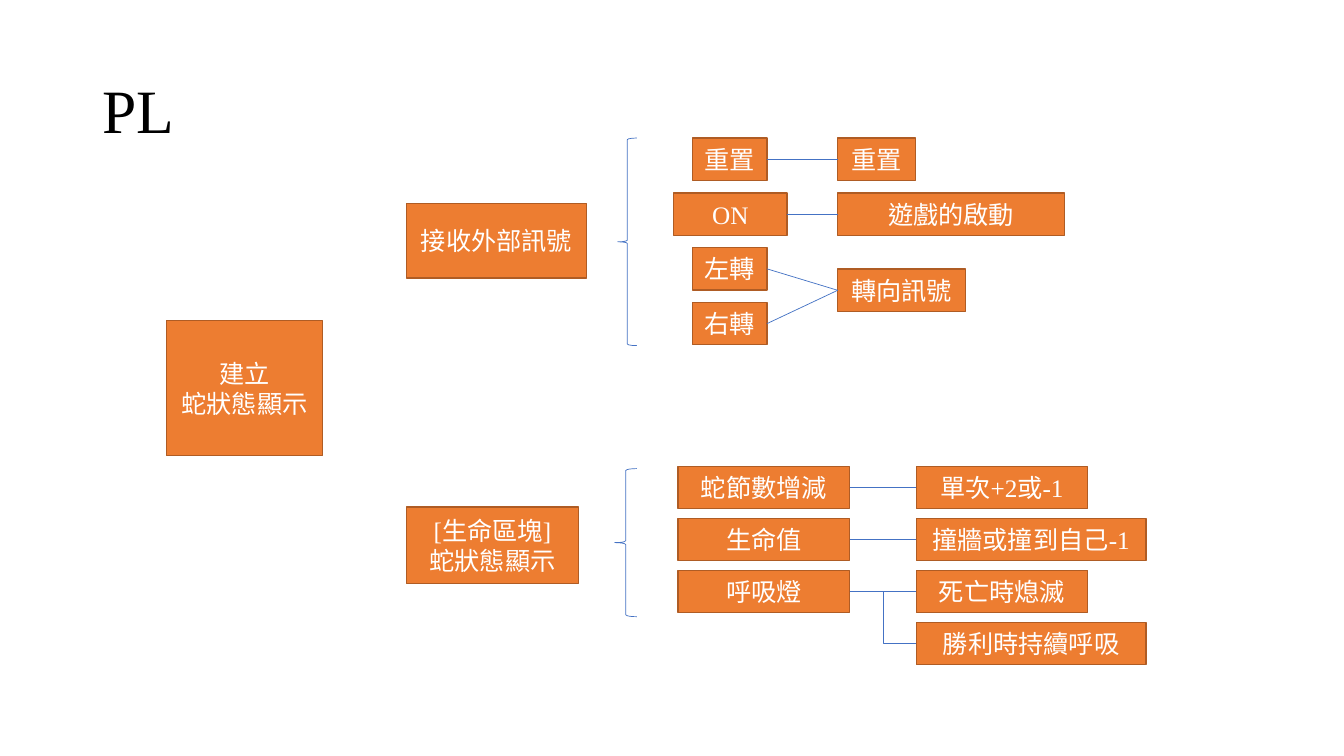
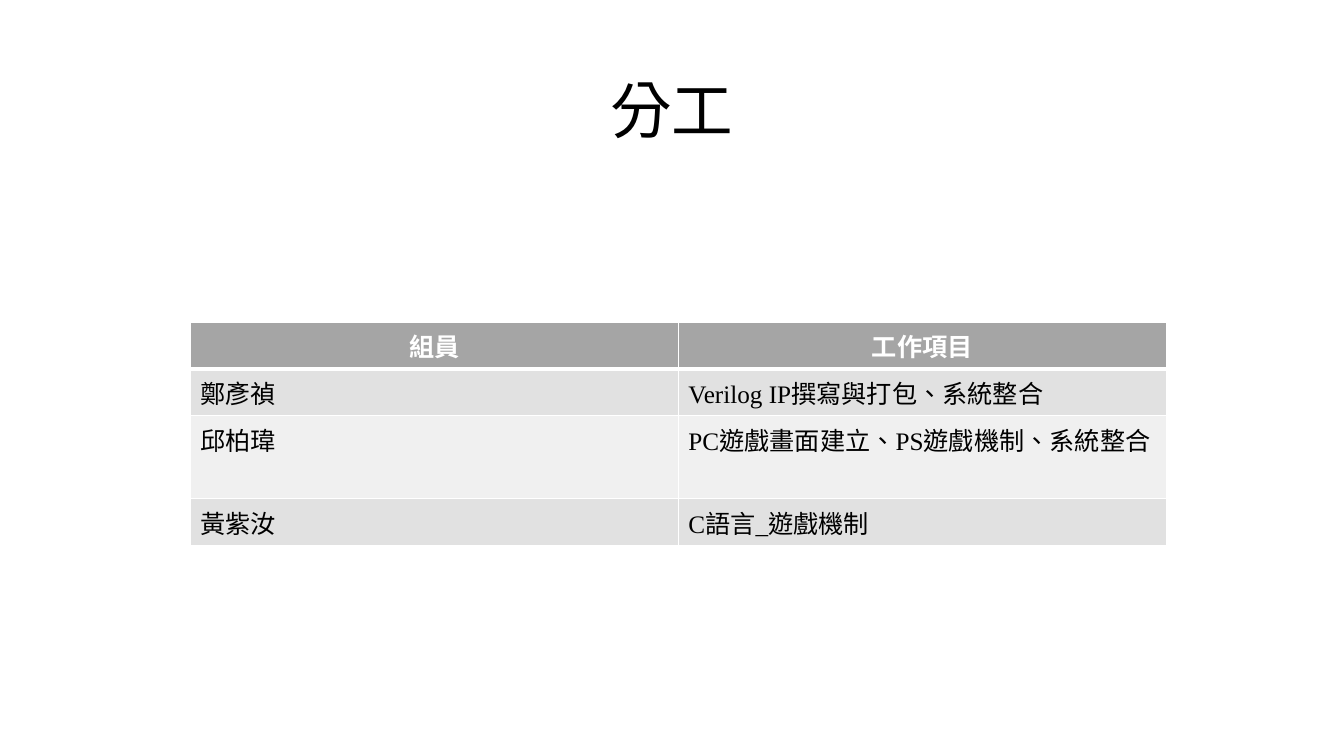
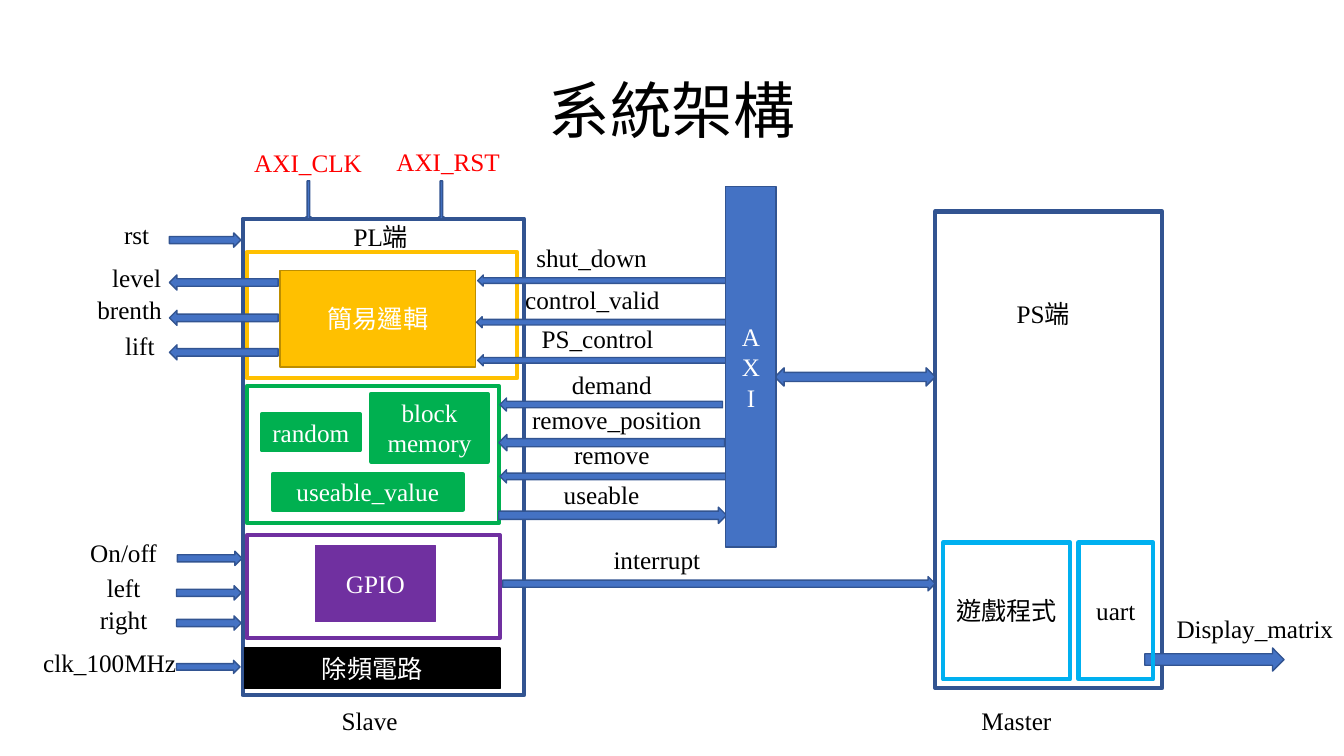
"""Build three slides on a snake game: logic tree, division of work and system architecture."""
import pptx
import pptx.util
import pptx.dml.color
import pptx.enum.dml
import pptx.enum.lang
import pptx.enum.shapes
import pptx.enum.text
import pptx.oxml.ns
from lxml import etree

Cm = pptx.util.Cm
Pt = pptx.util.Pt
RGBColor = pptx.dml.color.RGBColor
SHAPE = pptx.enum.shapes.MSO_SHAPE
CONNECTOR = pptx.enum.shapes.MSO_CONNECTOR
ALIGN = pptx.enum.text.PP_ALIGN
ANCHOR = pptx.enum.text.MSO_ANCHOR
qn = pptx.oxml.ns.qn

BLACK = RGBColor(0x00, 0x00, 0x00)
WHITE = RGBColor(0xFF, 0xFF, 0xFF)
RED = RGBColor(0xFF, 0x00, 0x00)
ORANGE = RGBColor(0xED, 0x7D, 0x31)
BROWN = RGBColor(0xAF, 0x5C, 0x24)
BLUE = RGBColor(0x44, 0x72, 0xC4)
NAVY = RGBColor(0x32, 0x54, 0x91)
SKY = RGBColor(0x00, 0xB0, 0xF0)
GOLD = RGBColor(0xFF, 0xC0, 0x00)
DARK_GOLD = RGBColor(0xBD, 0x8E, 0x00)
GREEN = RGBColor(0x00, 0xB0, 0x50)
PURPLE = RGBColor(0x70, 0x30, 0xA0)
GRAY = RGBColor(0xA5, 0xA5, 0xA5)
BANDS = [RGBColor(0xE1, 0xE1, 0xE1), RGBColor(0xF0, 0xF0, 0xF0)]
FONT = {
    "name": "Times New Roman",
    "size": Pt(18),
    "bold": False,
    "language_id": pptx.enum.lang.MSO_LANGUAGE_ID.TRADITIONAL_CHINESE,
}


def write(tf, text, color=BLACK, align=ALIGN.CENTER, **changes):
    tf.text = text
    for p in tf.paragraphs:
        p.alignment = align
        for r in p.runs:
            for name, value in {**FONT, **changes}.items():
                setattr(r.font, name, value)
            r.font.color.rgb = color


def add_box(s, kind, at, fill, line, width=1, text="", color=WHITE):
    sp = s.shapes.add_shape(kind, *map(Cm, at))
    sp.shadow.inherit = False
    if fill is None:
        sp.fill.background()
    else:
        sp.fill.solid()
        sp.fill.fore_color.rgb = fill
    sp.line.color.rgb = line
    sp.line.width = Pt(width)
    if text:
        sp.text_frame.word_wrap = True
        sp.text_frame.vertical_anchor = ANCHOR.MIDDLE
        write(sp.text_frame, text, color)
    return sp


prs = pptx.Presentation()
prs.slide_width, prs.slide_height = Cm(33.87), Cm(19.05)

slides = []
for text, align in [("PL", ALIGN.LEFT), ("分工", ALIGN.CENTER), ("系統架構", ALIGN.CENTER)]:
    s = prs.slides.add_slide(prs.slide_layouts[5])
    title = s.shapes.title
    for name, value in {"left": 2.33, "top": 1.01, "width": 29.21, "height": 3.68}.items():
        setattr(title, name, Cm(value))
    title.text_frame.vertical_anchor = ANCHOR.MIDDLE
    write(title.text_frame, text, BLACK, align, size=Pt(44))
    title.text_frame.paragraphs[0].line_spacing = 0.9
    slides.append(s)
tree, work, system = slides

ROW_H = 1.07
signal_rows = [3.48 + 1.38 * i for i in range(4)]
life_rows = [11.75 + 1.31 * i for i in range(4)]
nodes = {
    "root": ("建立\n蛇狀態顯示", 4.19, 8.08, 3.94, 3.4),
    "signals": ("接收外部訊號", 10.24, 5.13, 4.55, 1.88),
    "life": ("[生命區塊]\n蛇狀態顯示", 10.24, 12.78, 4.34, 1.93),
    "reset": ("重置", 17.45, signal_rows[0], 1.88, ROW_H),
    "on": ("ON", 16.97, signal_rows[1], 2.87, ROW_H),
    "left": ("左轉", 17.45, signal_rows[2], 1.88, ROW_H),
    "right": ("右轉", 17.45, signal_rows[3], 1.88, ROW_H),
    "do_reset": ("重置", 21.11, signal_rows[0], 1.96, ROW_H),
    "start": ("遊戲的啟動", 21.11, signal_rows[1], 5.72, ROW_H),
    "turn": ("轉向訊號", 21.11, 6.78, 3.23, ROW_H),
    "length": ("蛇節數增減", 17.09, life_rows[0], 4.32, ROW_H),
    "lives": ("生命值", 17.09, life_rows[1], 4.32, ROW_H),
    "lamp": ("呼吸燈", 17.09, life_rows[2], 4.32, ROW_H),
    "step": ("單次+2或-1", 23.09, life_rows[0], 4.32, ROW_H),
    "crash": ("撞牆或撞到自己-1", 23.09, life_rows[1], 5.79, ROW_H),
    "dead": ("死亡時熄滅", 23.09, life_rows[2], 4.32, ROW_H),
    "win": ("勝利時持續呼吸", 23.09, life_rows[3], 5.79, ROW_H),
}
boxes = {}
for name, (text, *at) in nodes.items():
    boxes[name] = add_box(tree, SHAPE.RECTANGLE, at, ORANGE, BROWN, 1, text)
for at in [(15.57, 3.48, 0.48, 5.23), (15.49, 11.81, 0.56, 3.73)]:
    add_box(tree, SHAPE.LEFT_BRACE, at, None, BLUE, 0.5)
links = [
    ("reset", "do_reset"), ("on", "start"), ("left", "turn"), ("right", "turn"),
    ("length", "step"), ("lives", "crash"), ("lamp", "dead"), ("lamp", "win"),
]
for start, end in links:
    kind = CONNECTOR.ELBOW if end == "win" else CONNECTOR.STRAIGHT
    link = tree.shapes.add_connector(kind, 0, 0, 0, 0)
    link.begin_connect(boxes[start], 3)
    link.end_connect(boxes[end], 1)
    link.line.color.rgb = BLUE
    link.line.width = Pt(0.5)
    etree.SubElement(link._element.spPr, qn("a:effectLst"))

rows = [
    ("組員", "工作項目"),
    ("鄭彥禎", "Verilog IP撰寫與打包、系統整合"),
    ("邱柏瑋", "PC遊戲畫面建立、PS遊戲機制、系統整合"),
    ("黃紫汝", "C語言_遊戲機制"),
]
table = work.shapes.add_table(4, 2, Cm(4.8), Cm(8.13), Cm(24.59), Cm(4.16)).table
for i, row in enumerate(rows):
    table.rows[i].height = Cm(1.04)
    for j, text in enumerate(row):
        cell = table.cell(i, j)
        tcPr = cell._tc.get_or_add_tcPr()
        for side in ("lnL", "lnR", "lnT", "lnB"):
            thick = (i, side) in [(0, "lnB"), (1, "lnT")]
            ln = etree.SubElement(tcPr, qn("a:" + side), w=str(Pt(3 if thick else 1)))
            fill = etree.SubElement(ln, qn("a:solidFill"))
            etree.SubElement(fill, qn("a:srgbClr"), val=str(WHITE))
        cell.fill.solid()
        if i == 0:
            cell.fill.fore_color.rgb = GRAY
            write(cell.text_frame, text, WHITE, bold=True)
        else:
            cell.fill.fore_color.rgb = BANDS[(i - 1) % 2]
            write(cell.text_frame, text, BLACK, ALIGN.LEFT)

frames = [
    (NAVY, 6.12, 5.51, 7.09, 12.01),
    (NAVY, 23.57, 5.33, 5.72, 12.01),
    (GOLD, 6.22, 6.35, 6.81, 3.18),
    (GREEN, 6.22, 9.73, 6.35, 3.45),
    (PURPLE, 6.22, 13.49, 6.38, 2.59),
]
for line, *at in frames:
    add_box(system, SHAPE.RECTANGLE, at, None, line, 3)

arrows = {
    SHAPE.LEFT_ARROW: [
        (12.04, 6.93, 6.3, 0.28), (12.01, 7.98, 6.3, 0.28), (12.04, 8.94, 6.3, 0.28),
        (12.6, 10.03, 5.61, 0.33), (12.57, 10.95, 5.69, 0.41), (12.6, 11.84, 5.69, 0.33),
        (4.27, 6.93, 2.74, 0.38), (4.27, 7.82, 2.74, 0.38), (4.27, 8.69, 2.74, 0.38),
    ],
    SHAPE.RIGHT_ARROW: [
        (4.27, 5.87, 1.8, 0.36), (4.47, 13.89, 1.63, 0.36), (4.45, 14.76, 1.63, 0.36),
        (4.45, 15.52, 1.63, 0.36), (4.45, 16.64, 1.6, 0.33), (12.57, 12.78, 5.74, 0.41),
        (12.67, 14.53, 10.9, 0.36), (28.85, 16.33, 3.51, 0.58),
    ],
    SHAPE.DOWN_ARROW: [(7.71, 4.56, 0.13, 0.97), (11.06, 4.56, 0.13, 0.97)],
    SHAPE.LEFT_RIGHT_ARROW: [(19.53, 9.27, 4.04, 0.46)],
}
for kind, places in arrows.items():
    for at in places:
        add_box(system, kind, at, BLUE, NAVY)

blocks = [
    ("block\nmemory", (9.35, 9.93, 2.95, 1.7), GREEN, GREEN, 3, WHITE),
    ("random", (6.6, 10.44, 2.47, 0.91), GREEN, GREEN, 3, WHITE),
    ("useable_value", (6.88, 11.94, 4.78, 0.91), GREEN, GREEN, 3, WHITE),
    ("除頻電路", (6.17, 16.33, 6.43, 1.02), BLACK, BLACK, 1, WHITE),
    ("GPIO", (7.95, 13.74, 3.02, 1.93), PURPLE, PURPLE, 1, WHITE),
    ("簡易邏輯", (7.06, 6.81, 4.93, 2.44), GOLD, DARK_GOLD, 1, WHITE),
    ("AX\nI", (18.29, 4.7, 1.27, 9.09), BLUE, NAVY, 1, WHITE),
    ("遊戲程式", (23.77, 13.67, 3.2, 3.45), None, SKY, 3, BLACK),
    ("uart", (27.18, 13.67, 1.88, 3.45), None, SKY, 3, BLACK),
]
for text, at, fill, line, width, color in blocks:
    add_box(system, SHAPE.RECTANGLE, at, fill, line, width, text, color)

labels = [
    ("AXI_CLK", 5.54, 3.58, 4.45), ("AXI_RST", 9.07, 3.56, 4.45),
    ("rst", 1.22, 5.41, 4.45), ("level", 1.22, 6.48, 4.45),
    ("brenth", 1.04, 7.29, 4.45), ("lift", 1.3, 8.2, 4.45),
    ("On/off", 0.89, 13.41, 4.45), ("left", 0.89, 14.3, 4.45),
    ("right", 0.89, 15.11, 4.45), ("clk_100MHz", 0.84, 16.18, 4.45),
    ("shut_down", 12.22, 5.99, 5.38), ("control_valid", 12.24, 7.04, 5.38),
    ("PS_control", 12.37, 8.03, 5.38), ("demand", 13.26, 9.17, 4.32),
    ("remove_position", 13.03, 10.06, 5.03), ("remove", 13.26, 10.95, 4.32),
    ("useable", 13, 11.96, 4.32), ("interrupt", 14.33, 13.59, 4.45),
    ("PL端", 8.66, 5.44, 4.06), ("PS端", 25.37, 7.39, 4.06),
    ("Slave", 7.09, 17.65, 4.45), ("Master", 23.39, 17.65, 4.45),
    ("Display_matrix", 29.39, 15.34, 4.47),
]
for text, left, top, width in labels:
    tf = system.shapes.add_textbox(Cm(left), Cm(top), Cm(width), Cm(1.02)).text_frame
    tf.word_wrap = True
    color = RED if text.startswith("AXI_") else BLACK
    align = ALIGN.LEFT if text in ("clk_100MHz", "PL端", "PS端") else ALIGN.CENTER
    write(tf, text, color, align)

prs.save("out.pptx")
